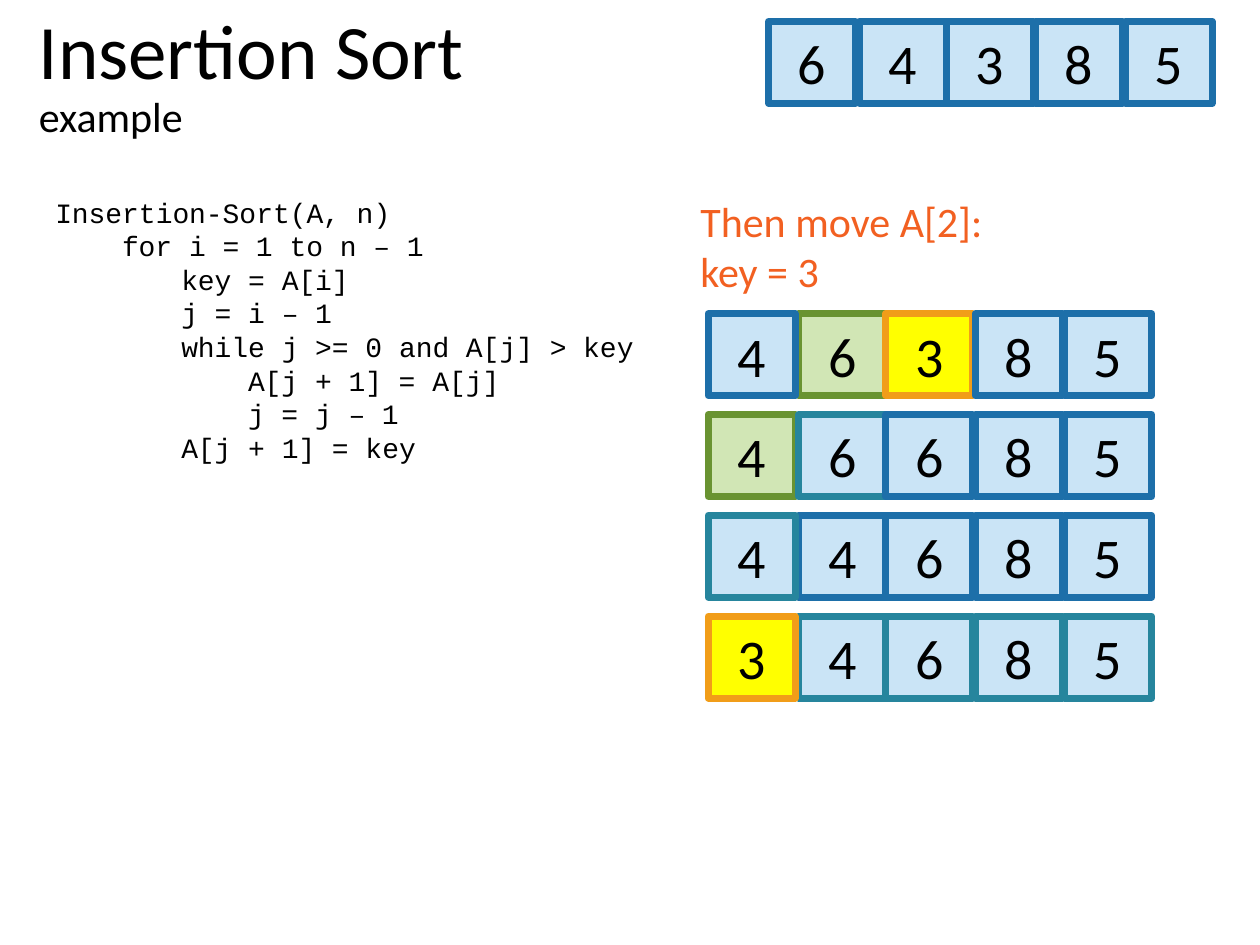
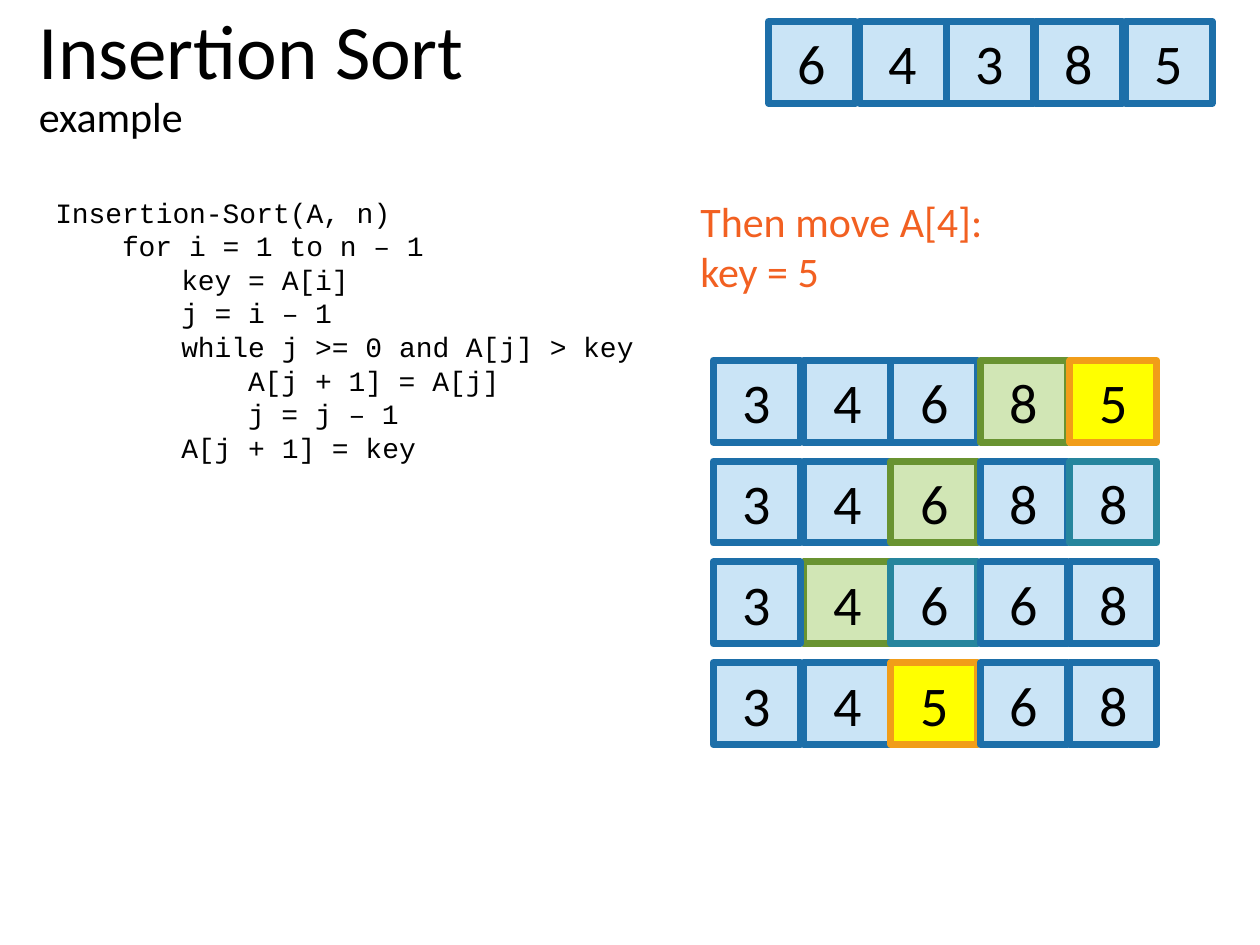
from pptx import Presentation
from pptx.dml.color import RGBColor
from pptx.enum.shapes import MSO_SHAPE
from pptx.enum.text import MSO_ANCHOR, PP_ALIGN
from pptx.util import Inches, Pt

COLORS = {
    "black": "000000", "orange": "F26021",
    "pale_blue": "CAE4F6", "blue": "1D6FA9", "teal": "26859D",
    "pale_green": "D1E6B5", "green": "699331",
    "yellow": "FFFF00", "amber": "F19D19",
}
# Cell styles: plain, compared, key, shifted (fill, outline)
CELL_STYLES = {
    "p": ("pale_blue", "blue"),
    "c": ("pale_green", "green"),
    "k": ("yellow", "amber"),
    "s": ("pale_blue", "teal"),
}
BODY_FONT, CODE_FONT = "Calibri", "Courier New"
CELL_W, CELL_H = 0.69, 0.65
CELL_OFFSETS = (0, 0.72, 1.41, 2.12, 2.83)
DRAW_ORDER = (1, 0, 2, 3, 4)
ROW_PITCH = 0.8

CODE = [  # (indent in inches, line)
    (0, "Insertion-Sort(A, n)"),
    (0.53, "for i = 1 to n – 1"),
    (1, "key = A[i]"),
    (1, "j = i – 1"),
    (1, "while j >= 0 and A[j] > key"),
    (1.53, "A[j + 1] = A[j]"),
    (1.53, "j = j – 1"),
    (1, "A[j + 1] = key"),
]

# Each step: values, cell styles, drawing order
STEPS_SLIDES = [
    {"caption": ("Then move A[2]:", "key = 3"), "left": 5.62, "top": 2.49,
     "steps": [("46385", "pckpp", DRAW_ORDER),
               ("46685", "csppp", range(5)),
               ("44685", "spppp", DRAW_ORDER),
               ("34685", "kssss", DRAW_ORDER)]},
    {"caption": ("Then move A[4]:", "key = 5"), "left": 5.66, "top": 2.86,
     "steps": [("34685", "pppck", DRAW_ORDER),
               ("34688", "ppcps", DRAW_ORDER),
               ("34668", "pcspp", DRAW_ORDER),
               ("34568", "ppkpp", DRAW_ORDER)]},
]


def rgb(name):
    return RGBColor.from_string(COLORS[name])


def style_run(r, size, font=BODY_FONT, color="black"):
    r.font.size = Pt(size)
    r.font.name = font
    r.font.color.rgb = rgb(color)


def add_text_box(s, left, top, width, height):
    tf = s.shapes.add_textbox(Inches(left), Inches(top),
                              Inches(width), Inches(height)).text_frame
    tf.word_wrap = True
    return tf


def add_title(s, left, top, width, height):
    tf = add_text_box(s, left, top, width, height)
    tf.vertical_anchor = MSO_ANCHOR.MIDDLE
    p = tf.paragraphs[0]
    p.text = "Insertion Sort \vexample"
    p.line_spacing = 0.9
    for r, size in zip(p.runs, (44, 24)):
        style_run(r, size)


def add_code(s, left, top, width, height):
    tf = add_text_box(s, left, top, width, height)
    tf.text = "\n".join(line for _, line in CODE)
    for p, (indent, _) in zip(tf.paragraphs, CODE):
        p.line_spacing = Pt(19.2)
        p._p.get_or_add_pPr().set("marL", str(Inches(indent)))
        style_run(p.runs[0], 16, CODE_FONT)


def add_caption(s, lines, left, top, width, height):
    tf = add_text_box(s, left, top, width, height)
    tf.text = "\n".join(lines)
    for p in tf.paragraphs:
        style_run(p.runs[0], 24, color="orange")


def add_cell(group, value, style, left, top):
    sp = group.shapes.add_shape(MSO_SHAPE.RECTANGLE, Inches(left), Inches(top),
                                Inches(CELL_W), Inches(CELL_H))
    fill, outline = CELL_STYLES[style]
    sp.shadow.inherit = False
    sp.fill.solid()
    sp.fill.fore_color.rgb = rgb(fill)
    sp.line.color.rgb = rgb(outline)
    sp.line.width = Pt(4)
    tf = sp.text_frame
    tf.text = value
    tf.vertical_anchor = MSO_ANCHOR.MIDDLE
    p = tf.paragraphs[0]
    p.alignment = PP_ALIGN.CENTER
    style_run(p.runs[0], 32)


def add_array(s, values, styles, left, top, order=DRAW_ORDER):
    group = s.shapes.add_group_shape()
    for i in order:
        add_cell(group, values[i], styles[i], left + CELL_OFFSETS[i], top)


def add_steps_slide(prs, caption, left, top, steps):
    s = prs.slides.add_slide(prs.slide_layouts[6])
    # Shared header and pseudocode
    add_title(s, 0.21, -0.11, 8.62, 1.45)
    add_array(s, "64385", "ppppp", 6.1, 0.17)
    add_code(s, 0.34, 1.5, 5.22, 2.52)
    # Sorting steps
    add_caption(s, caption, 5.46, 1.5, 3.82, 0.91)
    for row, (values, styles, order) in enumerate(steps):
        add_array(s, values, styles, left, top + row * ROW_PITCH, order)


def main():
    prs = Presentation()
    prs.slide_width, prs.slide_height = Inches(10), Inches(7.5)
    for slide in STEPS_SLIDES:
        add_steps_slide(prs, **slide)
    prs.save("out.pptx")


if __name__ == "__main__":
    main()
